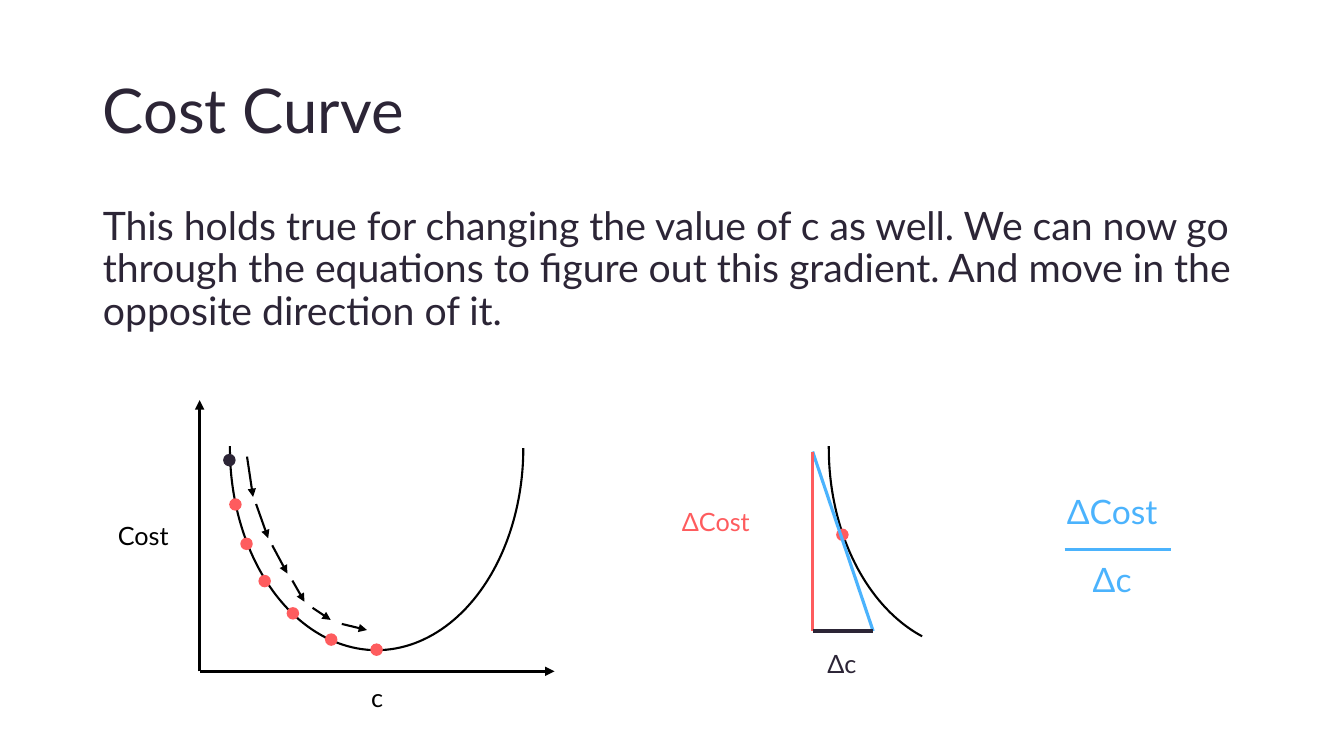
from lxml import etree
from pptx import Presentation
from pptx.dml.color import RGBColor
from pptx.enum.shapes import MSO_CONNECTOR, MSO_SHAPE
from pptx.enum.text import MSO_ANCHOR, MSO_AUTO_SIZE, PP_ALIGN
from pptx.oxml.ns import qn
from pptx.util import Inches, Pt

STRAIGHT = MSO_CONNECTOR.STRAIGHT
ARC, OVAL = MSO_SHAPE.ARC, MSO_SHAPE.OVAL
TOP, MIDDLE = MSO_ANCHOR.TOP, MSO_ANCHOR.MIDDLE
LEFT, CENTER = PP_ALIGN.LEFT, PP_ALIGN.CENTER
NO_FIT, GROW = MSO_AUTO_SIZE.NONE, MSO_AUTO_SIZE.SHAPE_TO_FIT_TEXT
BLACK, INK, RED, BLUE = "000000", "2C2536", "FE5C5E", "4BB3FD"
DOT = 0.11

deck = Presentation()
deck.slide_width, deck.slide_height = Inches(13.33), Inches(7.5)
page = deck.slides.add_slide(deck.slide_layouts[1])
shapes = page.shapes


def write(box, text, size=18, color=BLACK, align=CENTER, anchor=TOP, fit=GROW, spacing=1.0, before=0):
    frame = box.text_frame
    frame.word_wrap = True
    frame.auto_size = fit
    frame.vertical_anchor = anchor
    para = frame.paragraphs[0]
    para.alignment = align
    para.line_spacing = spacing
    para.space_before = Pt(before)
    span = para.add_run()
    span.text = text
    span.font.name = "Lato"
    span.font.size = Pt(size)
    span.font.color.rgb = RGBColor.from_string(color)
    return para


def draw_line(start, end, color=BLACK, width=2.25, arrow=False):
    line = shapes.add_connector(STRAIGHT, *map(Inches, start + end))
    line.line.color.rgb = RGBColor.from_string(color)
    line.line.width = Pt(width)
    if arrow:
        etree.SubElement(line.line._get_or_add_ln(), qn("a:tailEnd"), type="triangle")
    etree.SubElement(line._element.spPr, qn("a:effectLst"))


title, body = shapes.title, page.placeholders[1]
for holder, top, height in [(title, 0.4, 1.45), (body, 2, 4.76)]:
    holder.left, holder.top = Inches(0.92), Inches(top)
    holder.width, holder.height = Inches(11.5), Inches(height)

write(title, "Cost Curve", size=44, color=INK, align=LEFT, anchor=MIDDLE, fit=NO_FIT, spacing=0.9)
body_para = write(
    body,
    "This holds true for changing the value of c as well. We can now go through the equations "
    "to figure out this gradient. And move in the opposite direction of it.",
    size=28, color=INK, align=LEFT, fit=NO_FIT, spacing=0.9, before=10,
)
properties = body_para._p.get_or_add_pPr()
properties.set("marL", "0")
properties.set("indent", "0")
etree.SubElement(properties, qn("a:buNone"))

origin = (1.98, 6.66)
for axis_end in [(1.98, 3.97), (5.5, 6.66)]:
    draw_line(origin, axis_end, arrow=True)

for left, start_angle in [(1.73, 162), (7.67, 9.495)]:
    curve = shapes.add_shape(ARC, Inches(left), Inches(2.99), Inches(4.01), Inches(2.91))
    curve.rotation = 90
    curve.adjustments[0] = start_angle
    curve.adjustments[1] = 54.454
    curve.fill.background()
    curve.line.color.rgb = RGBColor.from_string(BLACK)
    curve.line.width = Pt(1.5)
    curve.shadow.inherit = False

dots = [
    (2.22, 4.51, INK), (2.28, 4.95, RED), (2.39, 5.34, RED), (2.57, 5.71, RED),
    (2.85, 6.03, RED), (3.23, 6.29, RED), (3.68, 6.39, RED), (8.3, 5.25, RED),
]
for left, top, color in dots:
    dot = shapes.add_shape(OVAL, Inches(left), Inches(top), Inches(DOT), Inches(DOT))
    dot.fill.solid()
    dot.fill.fore_color.rgb = RGBColor.from_string(color)
    dot.line.color.rgb = RGBColor.from_string(color)
    dot.line.width = Pt(1)
    dot.shadow.inherit = False

descent_steps = [
    ((2.45, 4.53), (2.51, 4.93)), ((2.54, 5), (2.66, 5.34)), ((2.7, 5.41), (2.85, 5.69)),
    ((2.9, 5.76), (3.02, 5.97)), ((3.1, 6.03), (3.28, 6.15)), ((3.39, 6.19), (3.64, 6.25)),
]
for start, end in descent_steps:
    draw_line(start, end, width=1.5, arrow=True)

apex, corner, foot = (8.06, 4.48), (8.06, 6.26), (8.66, 6.26)
draw_line(apex, foot, color=BLUE)
draw_line(apex, corner, color=RED)
draw_line(corner, foot, color=INK)
draw_line((10.56, 5.45), (11.61, 5.45), color=BLUE)

labels = [
    ("Cost", 1.07, 5.11, 0.8, 18, BLACK, LEFT),
    ("c", 3.34, 6.72, 0.8, 18, BLACK, CENTER),
    ("ΔCost", 6.51, 4.97, 1.18, 18, RED, CENTER),
    ("Δc", 7.76, 6.38, 1.18, 18, INK, CENTER),
    ("ΔCost", 10.44, 4.82, 1.18, 24, BLUE, CENTER),
    ("Δc", 10.44, 5.5, 1.18, 24, BLUE, CENTER),
]
for text, left, top, width, size, color, align in labels:
    height = 0.4 if size == 18 else 0.5
    box = shapes.add_textbox(Inches(left), Inches(top), Inches(width), Inches(height))
    write(box, text, size=size, color=color, align=align)

deck.save("out.pptx")
